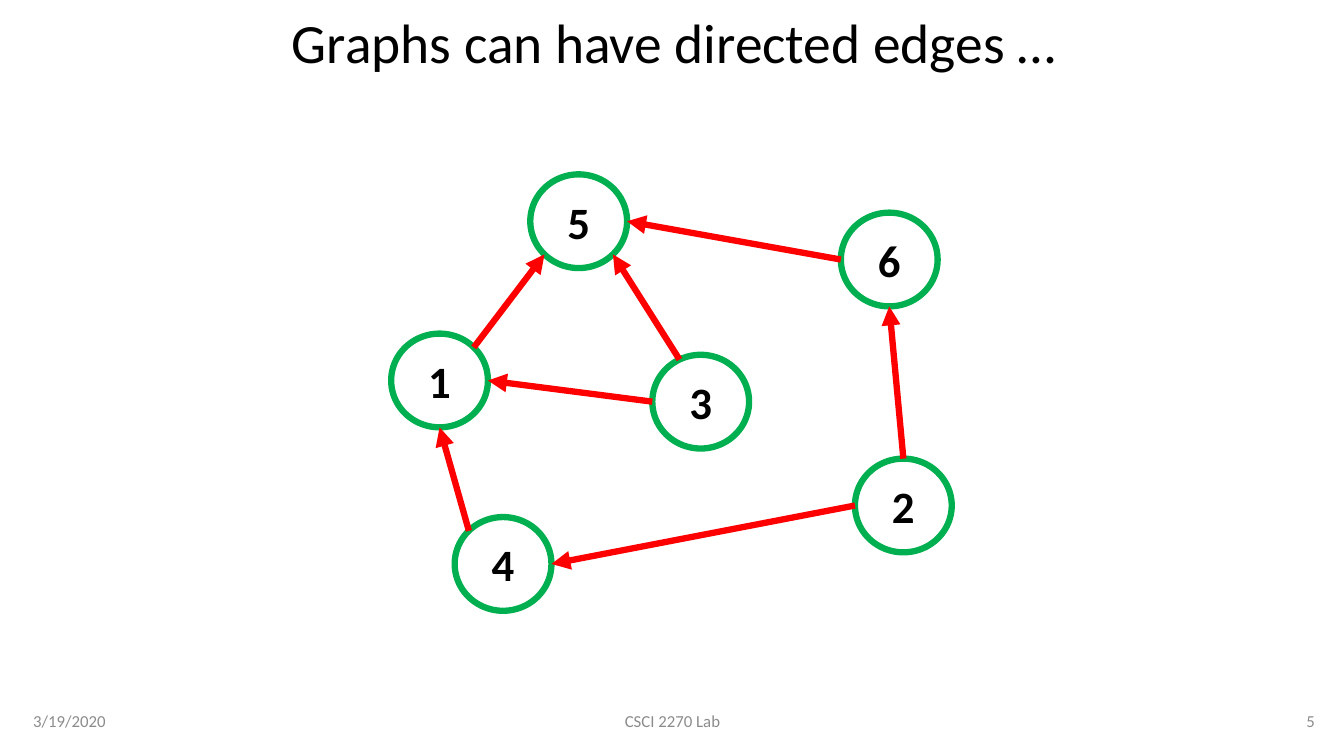
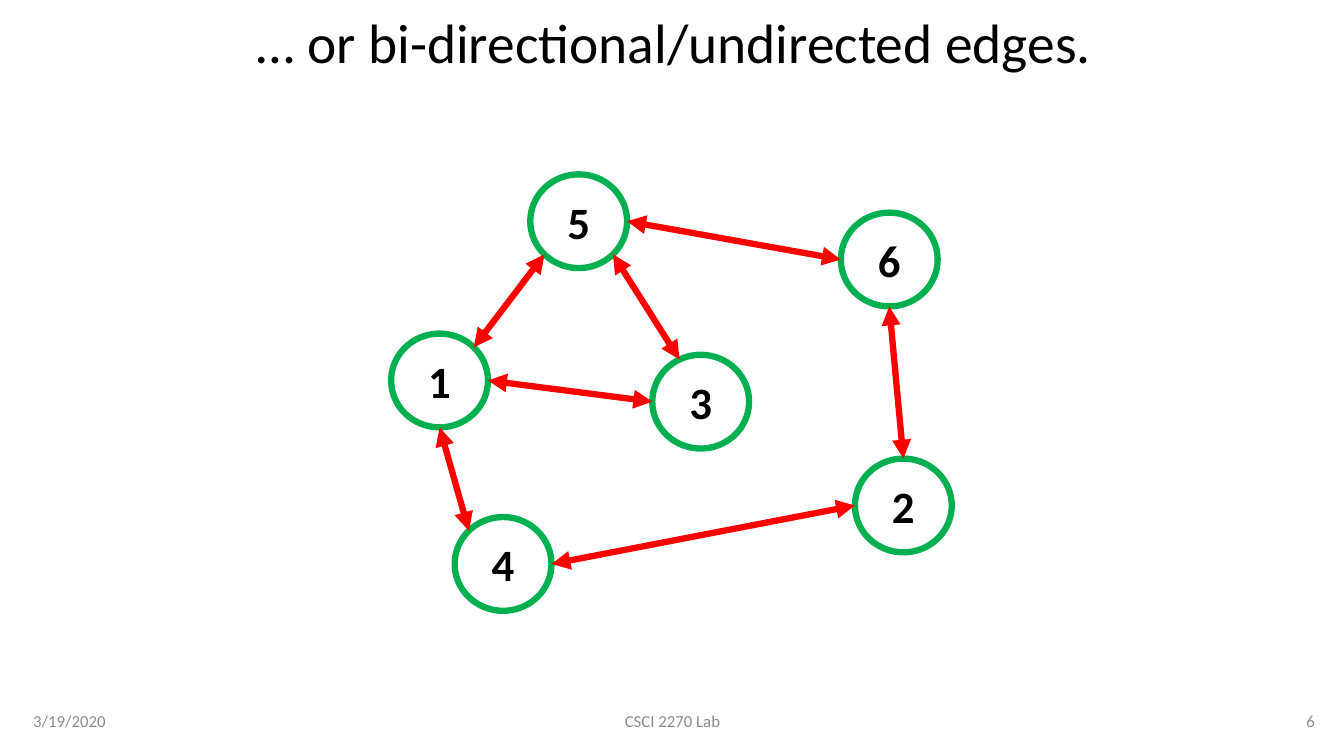
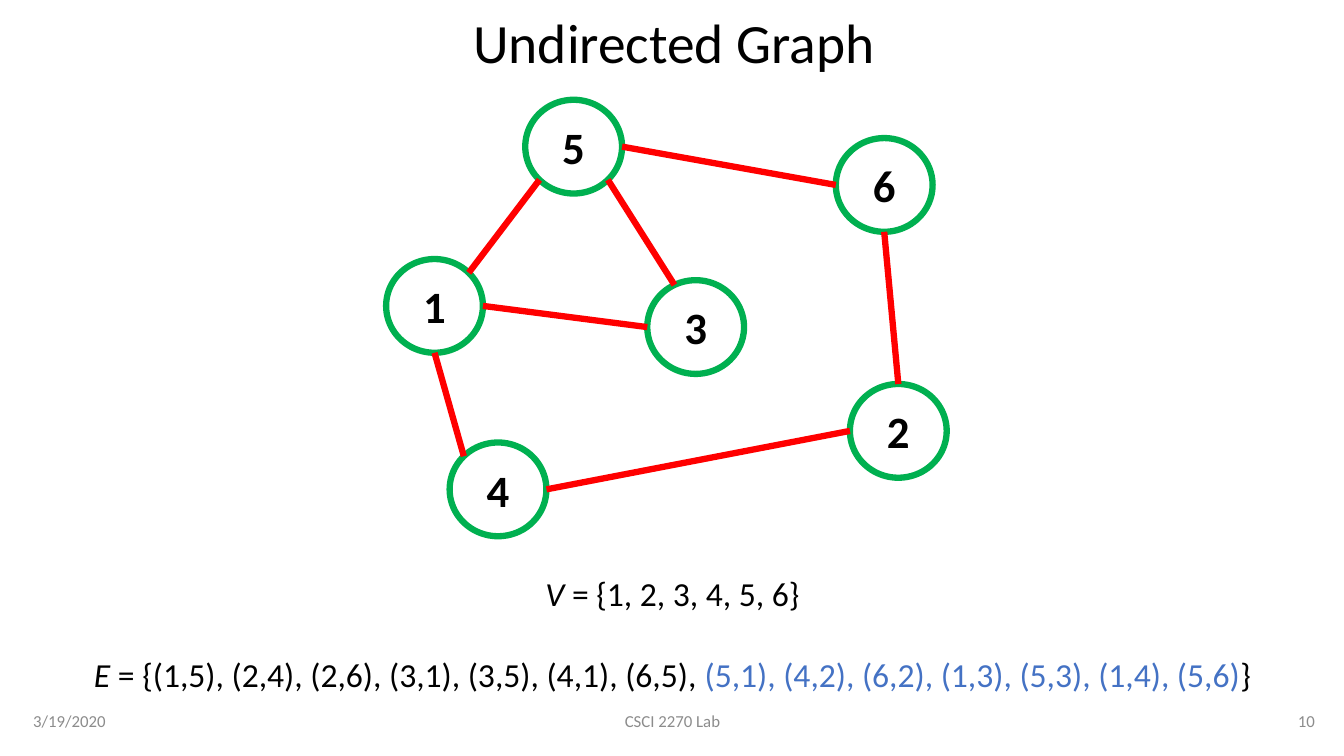
from dataclasses import dataclass
from math import cos, radians, sin
from typing import NamedTuple

from lxml.etree import SubElement
from pptx import Presentation
from pptx.dml.color import RGBColor
from pptx.enum.shapes import MSO_CONNECTOR as Connector, MSO_SHAPE as Preset
from pptx.enum.text import MSO_ANCHOR as Anchor, PP_ALIGN as Align
from pptx.oxml.ns import qn
from pptx.util import Inches, Pt


@dataclass(frozen=True)
class Theme:
    font: str = "Calibri"
    ink: str = "000000"
    muted: str = "8C8C8C"
    accent: str = "4472C4"
    node: str = "00B050"
    edge: str = "FF0000"
    title_size: float = 39.6
    node_size: float = 32
    body_size: float = 24
    footer_size: float = 12
    stroke: float = 4.5


class Node(NamedTuple):
    label: str
    left: float
    top: float


class Edge(NamedTuple):
    """Directed edge; angles in degrees, clockwise from the right of a node."""
    source: str
    target: str
    source_angle: float
    target_angle: float


class GraphSlide(NamedTuple):
    title: str
    number: str
    arrows: tuple[str, ...] = ()
    shift: tuple[float, float] = (0, 0)
    show_sets: bool = False


THEME = Theme()
NODE_WIDTH, NODE_HEIGHT = 0.96, 0.93
MARGIN, SLIDE_WIDTH, SLIDE_HEIGHT = 0.23, 13.33, 7.5
CONTENT_WIDTH = 12.91

NODES = (
    Node("5", 5.26, 1.73), Node("1", 3.88, 3.31), Node("4", 4.51, 5.13),
    Node("3", 6.47, 3.52), Node("2", 8.48, 4.55), Node("6", 8.34, 2.11),
)
EDGES = (
    Edge("1", "5", -45, 135),
    Edge("2", "4", 180, 0),
    Edge("2", "6", -90, 90),
    Edge("3", "1", 180, 0),
    Edge("3", "5", -116, 45),
    Edge("4", "1", -135, 90),
    Edge("6", "5", 180, 0),
)
SLIDES = (
    GraphSlide("Graphs can have directed edges …", "5", ("headEnd",)),
    GraphSlide("… or bi-directional/undirected edges.", "6", ("headEnd", "tailEnd")),
    GraphSlide("Undirected Graph", "10", shift=(-0.05, -0.74), show_sets=True),
)


def write(paragraph, text: str, *, size: float, color: str = THEME.ink,
          bold: bool = False, italic: bool = False, align=Align.CENTER) -> None:
    """Add one formatted run to a paragraph."""
    paragraph.alignment = align
    run = paragraph.add_run()
    run.text = text
    font = run.font
    font.name, font.size = THEME.font, Pt(size)
    font.bold, font.italic = bold, italic
    font.color.rgb = RGBColor.from_string(color)


def add_text_frame(slide, left: float, top: float, width: float, height: float,
                   anchor=Anchor.MIDDLE):
    box = slide.shapes.add_textbox(*map(Inches, (left, top, width, height)))
    frame = box.text_frame
    frame.word_wrap = True
    frame.vertical_anchor = anchor
    return frame


# Title and footer shared by all slides
def add_frame(slide, title: str, number: str) -> None:
    heading = add_text_frame(slide, MARGIN, 0.15, CONTENT_WIDTH, 0.6).paragraphs[0]
    heading.line_spacing = 0.9
    write(heading, title, size=THEME.title_size)
    right = MARGIN + CONTENT_WIDTH
    for text, left, width, align in (
        ("3/19/2020", MARGIN, 3, Align.LEFT),
        ("CSCI 2270 Lab", 4.42, 4.5, Align.CENTER),
        (number, right - 3, 3, Align.RIGHT),
    ):
        footer = add_text_frame(slide, left, 6.95, width, 0.4).paragraphs[0]
        write(footer, text, size=THEME.footer_size, color=THEME.muted, align=align)


# Graph
def set_stroke(shape, color: str) -> None:
    shape.line.color.rgb = RGBColor.from_string(color)
    shape.line.width = Pt(THEME.stroke)


def add_node(slide, node: Node) -> None:
    shape = slide.shapes.add_shape(
        Preset.OVAL, *map(Inches, (node.left, node.top, NODE_WIDTH, NODE_HEIGHT)))
    shape.shadow.inherit = False
    shape.fill.background()
    set_stroke(shape, THEME.node)
    frame = shape.text_frame
    frame.vertical_anchor = Anchor.MIDDLE
    write(frame.paragraphs[0], node.label, size=THEME.node_size, bold=True)


def rim_point(node: Node, angle: float) -> tuple[float, float]:
    """Point on the outline of a node at the given angle."""
    turn = radians(angle)
    return (node.left + NODE_WIDTH / 2 * (1 + cos(turn)),
            node.top + NODE_HEIGHT / 2 * (1 + sin(turn)))


def add_edge(slide, start: tuple[float, float], end: tuple[float, float],
             arrows: tuple[str, ...]) -> None:
    connector = slide.shapes.add_connector(
        Connector.STRAIGHT, *map(Inches, (*start, *end)))
    set_stroke(connector, THEME.edge)
    outline = connector.line._get_or_add_ln()
    for arrow in arrows:
        SubElement(outline, qn(f"a:{arrow}"), type="triangle")
    SubElement(connector._element.spPr, qn("a:effectLst"))


def add_graph(slide, arrows: tuple[str, ...], shift: tuple[float, float]) -> None:
    across, down = shift
    nodes = {node.label: Node(node.label, node.left + across, node.top + down)
             for node in NODES}
    for node in nodes.values():
        add_node(slide, node)
    for edge in EDGES:
        # Lines start at the target, so a head arrow points along the edge
        add_edge(slide, rim_point(nodes[edge.target], edge.target_angle),
                 rim_point(nodes[edge.source], edge.source_angle), arrows)


# Vertex and edge sets
def add_sets(slide) -> None:
    frame = add_text_frame(slide, 0.42, 5.63, 12.5, 1.31, Anchor.TOP)
    size = THEME.body_size
    labels = ", ".join(sorted(node.label for node in NODES))
    forward = ", ".join(f"({edge.source},{edge.target})" for edge in EDGES)
    backward = ", ".join(f"({edge.target},{edge.source})" for edge in EDGES)

    vertices = frame.paragraphs[0]
    write(vertices, "V", size=size, italic=True)
    write(vertices, f" = {{{labels}}}", size=size)

    pairs = frame.add_paragraph()
    pairs.space_before = Pt(29.3)
    write(pairs, "E", size=size, italic=True)
    write(pairs, f" = {{{forward}, ", size=size)
    write(pairs, backward, size=size, color=THEME.accent)
    write(pairs, "}", size=size)


def main() -> None:
    presentation = Presentation()
    presentation.slide_width = Inches(SLIDE_WIDTH)
    presentation.slide_height = Inches(SLIDE_HEIGHT)
    blank = presentation.slide_layouts[6]
    for content in SLIDES:
        slide = presentation.slides.add_slide(blank)
        add_frame(slide, content.title, content.number)
        add_graph(slide, content.arrows, content.shift)
        if content.show_sets:
            add_sets(slide)
    presentation.save("out.pptx")


if __name__ == "__main__":
    main()
